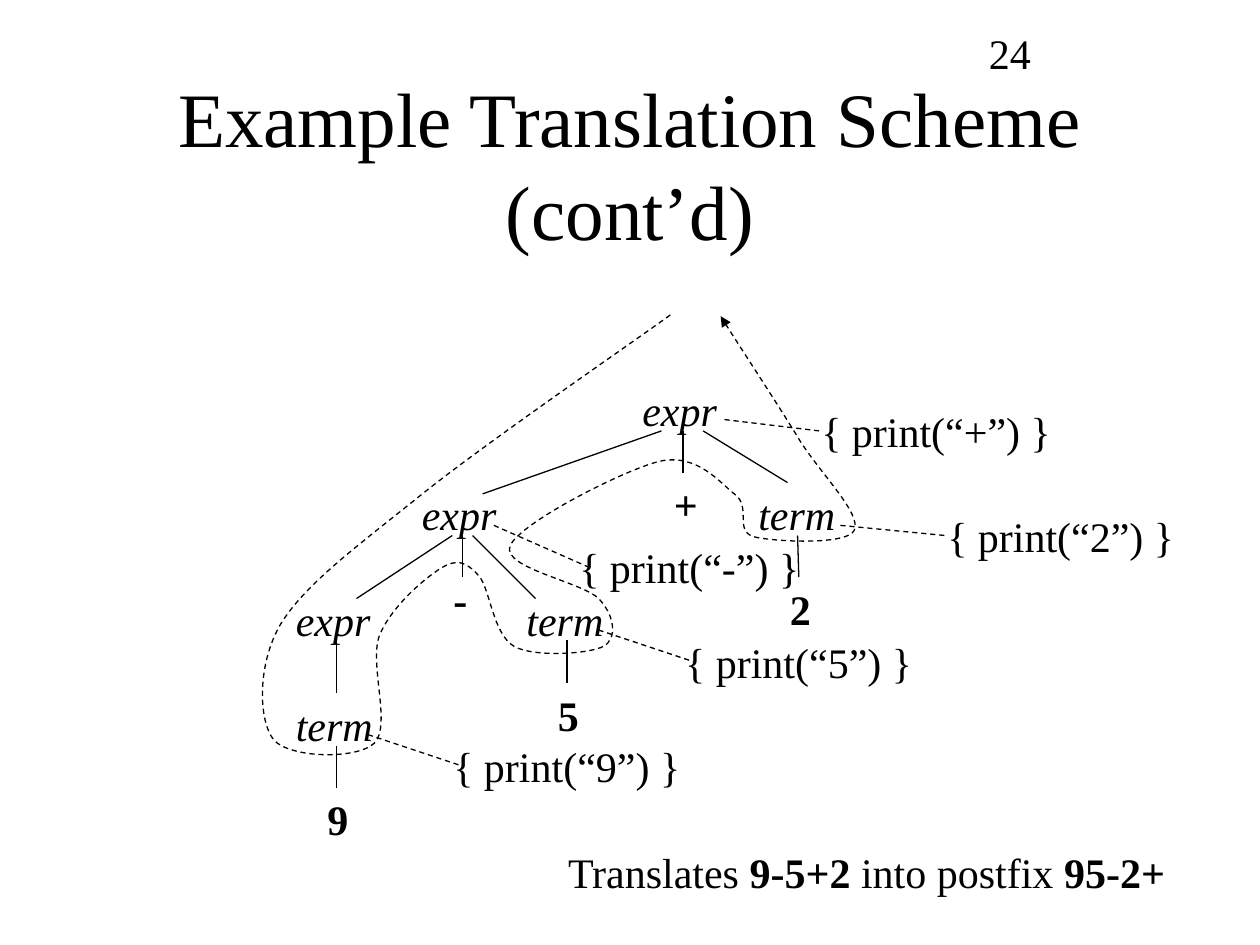
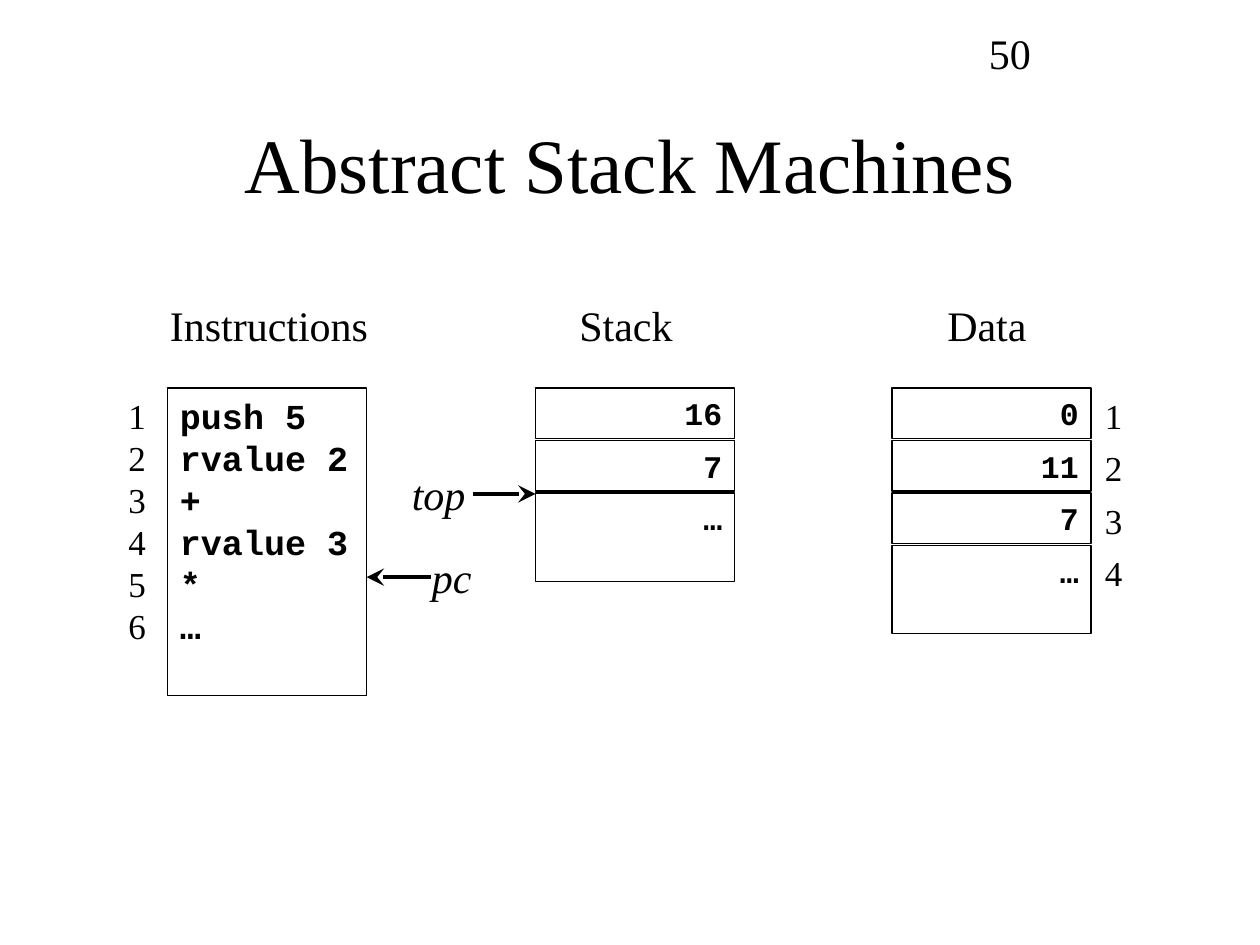
from dataclasses import dataclass

from lxml import etree
from pptx import Presentation
from pptx.dml.color import RGBColor
from pptx.enum.dml import MSO_LINE
from pptx.enum.shapes import MSO_CONNECTOR as CONNECTOR, MSO_SHAPE as SHAPE
from pptx.enum.text import MSO_ANCHOR as ANCHOR, MSO_AUTO_SIZE as FIT, PP_ALIGN as ALIGN
from pptx.oxml.ns import qn
from pptx.util import Inches, Pt


@dataclass(frozen=True)
class Theme:
    ink: RGBColor = RGBColor(0, 0, 0)
    serif: str = "Times New Roman"
    mono: str = "Courier New"
    title: int = 44
    label: int = 24
    code: int = 20
    cell: int = 18
    thin: float = 0.75
    thick: float = 2
    slack: float = 0.1  # spare label width in inches, so that no word breaks


class Deck:
    """Holds the theme and the slide being built."""

    def __init__(self, theme):
        self.theme = theme
        self.prs = Presentation()
        self.prs.slide_width, self.prs.slide_height = Inches(10), Inches(7.5)
        self.slide = None

    def new_slide(self, title, number):
        self.slide = self.prs.slides.add_slide(self.prs.slide_layouts[5])
        heading = self.slide.shapes.title
        heading.left, heading.top = Inches(0.75), Inches(0.67)
        heading.width, heading.height = Inches(8.5), Inches(1.25)
        frame = heading.text_frame
        frame.text = title
        frame.auto_size = FIT.NONE
        frame.vertical_anchor = ANCHOR.MIDDLE
        frame.paragraphs[0].alignment = ALIGN.CENTER
        self.style_runs(frame, self.theme.title)
        self.label(number, 7.75, 0.17, 2)

    def style_runs(self, frame, size, font=None, bold=False, italic=False):
        for paragraph in frame.paragraphs:
            for run in paragraph.runs:
                run.font.name = font or self.theme.serif
                run.font.size = Pt(size)
                run.font.bold, run.font.italic = bold, italic
                run.font.color.rgb = self.theme.ink

    def label(self, text, left, top, width, size=None, bold=False, italic=False):
        size = size or self.theme.label
        box = self.slide.shapes.add_textbox(
            Inches(left), Inches(top),
            Inches(width + self.theme.slack), Inches(size / 60 + 0.1))
        frame = box.text_frame
        frame.text = text
        frame.word_wrap = True
        self.style_runs(frame, size, bold=bold, italic=italic)
        return frame

    def caption(self, parts, left, top, width):
        """One line of text whose every second part is bold."""
        frame = self.label(parts[0], left, top, width)
        for part in parts[1:]:
            frame.paragraphs[0].add_run().text = part
        self.style_runs(frame, self.theme.label)
        for run in frame.paragraphs[0].runs[1::2]:
            run.font.bold = True

    def box(self, text, left, top, width, height, size, align=ALIGN.LEFT, leading=None):
        rect = self.slide.shapes.add_shape(
            SHAPE.RECTANGLE, Inches(left), Inches(top), Inches(width), Inches(height))
        self.outline(rect)
        frame = rect.text_frame
        frame.text = text
        frame.word_wrap = True
        frame.vertical_anchor = ANCHOR.TOP
        for paragraph in frame.paragraphs:
            paragraph.alignment = align
            paragraph.line_spacing = leading
        self.style_runs(frame, size, font=self.theme.mono, bold=True)

    def outline(self, shape):
        shape.shadow.inherit = False
        shape.fill.background()
        self.stroke(shape.line)

    def stroke(self, line, width=None, dashed=False, head=None, head_size="med"):
        line.color.rgb = self.theme.ink
        line.width = Pt(width or self.theme.thin)
        if dashed:
            line.dash_style = MSO_LINE.DASH
        if head:
            etree.SubElement(line._get_or_add_ln(), qn("a:tailEnd"),
                             type=head, w=head_size, len=head_size)

    def line(self, start, end, **stroke):
        link = self.slide.shapes.add_connector(
            CONNECTOR.STRAIGHT, *(Inches(v) for v in (*start, *end)))
        self.stroke(link.line, **stroke)
        etree.SubElement(link._element.spPr, qn("a:effectLst"))

    def curve(self, start, bends, **stroke):
        """A smooth path; each bend has two control points and an end point."""
        points = [(Inches(x), Inches(y))
                  for bend in bends for x, y in zip(bend[::2], bend[1::2])]
        builder = self.slide.shapes.build_freeform(Inches(start[0]), Inches(start[1]))
        builder.add_line_segments(points, close=False)
        shape = builder.convert_to_shape()
        self.outline(shape)
        self.stroke(shape.line, **stroke)
        # Join every three straight segments into one cubic segment
        outline = next(shape._element.iter(qn("a:path")))
        segments = outline.findall(qn("a:lnTo"))
        for i in range(0, len(segments), 3):
            cubic = etree.SubElement(outline, qn("a:cubicBezTo"))
            for segment in segments[i:i + 3]:
                cubic.append(segment[0])
                outline.remove(segment)


def translation_scheme(deck):
    deck.new_slide("Example Translation Scheme (cont’d)", "24")

    # Grammar symbols and tokens of the parse tree
    for symbol, left, top in [
            ("expr", 5, 3), ("expr", 3.25, 3.83), ("expr", 2.25, 4.67),
            ("term", 5.92, 3.83), ("term", 4.08, 4.67), ("term", 2.25, 5.5)]:
        deck.label(symbol, left, top, 0.8, italic=True)
    for token, left, top, width in [
            ("9", 2.5, 6.25, 0.36), ("-", 3.5, 4.5, 0.31), ("5", 4.33, 5.42, 0.36),
            ("+", 5.25, 3.75, 0.39), ("2", 6.17, 4.58, 0.36)]:
        deck.label(token, left, top, width, bold=True)

    # Tree branches
    for start, end in [
            ((5.25, 3.42), (3.83, 3.92)), ((5.42, 3.42), (5.42, 3.75)),
            ((5.58, 3.42), (6.25, 3.83)), ((3.59, 4.25), (2.83, 4.75)),
            ((3.67, 4.25), (3.67, 4.58)), ((3.75, 4.25), (4.25, 4.75)),
            ((2.67, 5.08), (2.67, 5.5)), ((2.67, 5.92), (2.67, 6.25)),
            ((4.5, 5.08), (4.5, 5.42)), ((6.33, 4.25), (6.34, 4.58))]:
        deck.line(start, end)

    # Depth-first walk around the tree
    deck.curve((5.32, 2.5), [
        (4.99, 2.74, 3.85, 3.52, 3.34, 3.93), (2.83, 4.34, 2.43, 4.63, 2.23, 4.95),
        (2.04, 5.27, 2.05, 5.71, 2.17, 5.87), (2.3, 6.02, 2.83, 6.03, 2.97, 5.9),
        (3.11, 5.76, 2.93, 5.28, 3.01, 5.05), (3.1, 4.82, 3.37, 4.59, 3.5, 4.51),
        (3.63, 4.43, 3.7, 4.46, 3.8, 4.57), (3.89, 4.67, 3.91, 5.03, 4.08, 5.13),
        (4.24, 5.22, 4.68, 5.19, 4.79, 5.13), (4.9, 5.07, 4.88, 4.89, 4.76, 4.76),
        (4.64, 4.62, 3.97, 4.51, 4.05, 4.33), (4.13, 4.15, 4.95, 3.73, 5.24, 3.66),
        (5.54, 3.6, 5.71, 3.83, 5.84, 3.93), (5.96, 4.03, 5.83, 4.21, 5.98, 4.26),
        (6.14, 4.3, 6.72, 4.33, 6.78, 4.21), (6.84, 4.08, 6.53, 3.78, 6.35, 3.5),
        (6.18, 3.22, 5.85, 2.72, 5.72, 2.51)], dashed=True, head="triangle")

    # Semantic actions, each tied to its node
    for printed, left, top, node, action in [
            ("-", 4.5, 4.25, (3.92, 4.17), (4.67, 4.5)),
            ("+", 6.42, 3.17, (5.75, 3.33), (6.5, 3.42)),
            ("9", 3.5, 5.83, (2.92, 5.83), (3.67, 6.08)),
            ("5", 5.34, 5, (4.75, 5), (5.5, 5.25)),
            ("2", 7.42, 4, (6.67, 4.17), (7.5, 4.25))]:
        deck.label(f"{{ print(“{printed}”) }}", left, top, 2)
        deck.line(node, action, dashed=True)

    deck.caption(["Translates ", "9-5+2", " into postfix ", "95-2+"], 4.41, 6.67, 4.95)


def stack_machines(deck):
    deck.new_slide("Abstract Stack Machines", "50")
    theme = deck.theme
    top, width, row_step, line_step = 3.08, 1.58, 5 / 12, 1 / 3

    # Column headings
    for heading, left, heading_width in [
            ("Instructions", 1.25, 1.77), ("Stack", 4.5, 0.94), ("Data", 7.42, 0.83)]:
        deck.label(heading, left, 2.33, heading_width)

    # Instruction list with line numbers
    program = ["push 5", "rvalue 2", "+", "rvalue 3", "*", "…"]
    deck.box("\n".join(program), 1.33, top, width, 2.44, theme.code, leading=Pt(24))
    for i in range(len(program)):
        deck.label(str(i + 1), 0.92, top + i * line_step, 0.34, theme.code)

    # Stack and data cells; the last cell of each is taller
    for left, values in [(4.25, ["16", "7", "…"]), (7.08, ["0", "11", "7", "…"])]:
        for i, value in enumerate(values):
            height = 0.7 if value == "…" else 0.4
            deck.box(value, left, top + i * row_step, width, height, theme.cell, ALIGN.RIGHT)
    for i in range(4):
        deck.label(str(i + 1), 8.67, top + i * row_step, 0.34, theme.code)

    # Pointers
    for pointer, left, label_top, label_width, start, end in [
            ("pc", 3.33, 4.33, 0.51, (3.42, 4.58), (2.91, 4.58)),
            ("top", 3.17, 3.67, 0.62, (3.75, 3.92), (4.25, 3.92))]:
        deck.label(pointer, left, label_top, label_width, italic=True)
        deck.line(start, end, width=theme.thick, head="stealth", head_size="lg")


def main():
    deck = Deck(Theme())
    translation_scheme(deck)
    stack_machines(deck)
    deck.prs.save("out.pptx")


if __name__ == "__main__":
    main()
